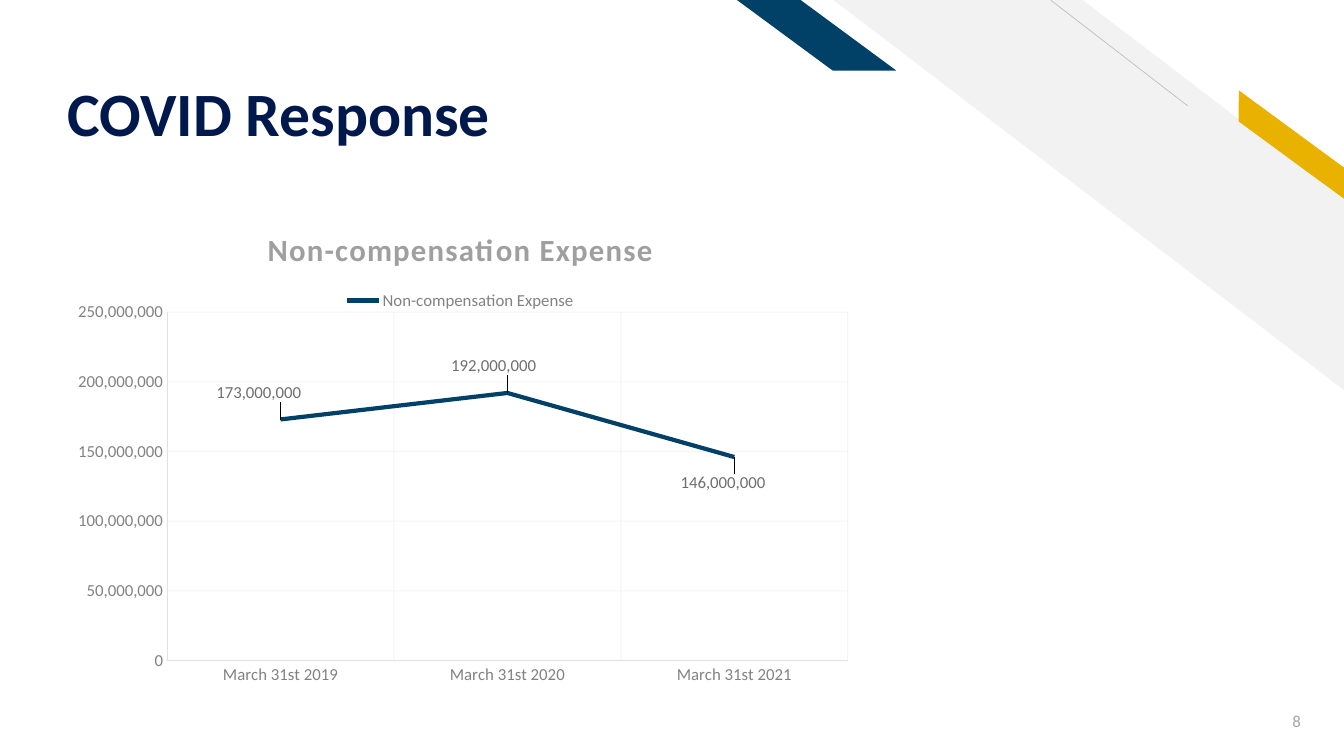
import pptx
import pptx.chart.data
import pptx.dml.color
import pptx.enum.chart
import pptx.enum.shapes
import pptx.enum.text
import pptx.oxml
import pptx.oxml.ns
import pptx.util

THEME = {
    "navy": "00194C", "blue": "014067", "gold": "EAB200", "band": "F2F2F2",
    "hairline": "BFBFBF", "grid": "E2E2E2", "heading": "9F9F9F",
    "axis": "828282", "label": "6F6F6F", "number": "A5A5A5",
    "font": "Calibri", "title_size": 44, "heading_size": 22, "small_size": 12,
}
qn = pptx.oxml.ns.qn
Pt = pptx.util.Pt
SHAPE = pptx.enum.shapes.MSO_SHAPE
ALIGN = pptx.enum.text.PP_ALIGN
ANCHOR = pptx.enum.text.MSO_ANCHOR


def color(name):
    return pptx.dml.color.RGBColor.from_string(THEME[name])


def style(font, size, tint, bold=False):
    font.name = THEME["font"]
    font.size = Pt(THEME[size])
    font.bold = bold
    font.color.rgb = color(tint)


deck = pptx.Presentation()
deck.slide_width = pptx.util.Inches(13.33)
deck.slide_height = pptx.util.Inches(7.5)
slide = deck.slides.add_slide(deck.slide_layouts[5])

# Places as percent of the slide: left, top, width, height
across, down = deck.slide_width / 100, deck.slide_height / 100
PLACES = {
    part: (int(x * across), int(y * down), int(w * across), int(h * down))
    for part, (x, y, w, h) in {
        "band": (62.02, 0, 37.98, 51.6),
        "gold": (90.55, 17.47, 11.1, 3.33),
        "blue": (54.84, 0, 11.85, 9.33),
        "title": (4.28, 3.07, 68.34, 16.8),
        "chart": (4.28, 27.47, 59.94, 65.2),
        "number": (91.45, 92.67, 6.08, 5.33),
    }.items()
}

# Diagonal bands in the corner, all mirrored
for part, preset, slant, turn in (
    ("band", SHAPE.DIAGONAL_STRIPE, 0.512, 0),
    ("gold", SHAPE.PARALLELOGRAM, 0.72, 36.3),
    ("blue", SHAPE.PARALLELOGRAM, 1.356, 0),
):
    stripe = slide.shapes.add_shape(preset, *PLACES[part])
    stripe.adjustments[0] = slant
    stripe.rotation = turn
    stripe.element.spPr.find(qn("a:xfrm")).set("flipH", "1")
    stripe.fill.solid()
    stripe.fill.fore_color.rgb = color(part)
    stripe.line.fill.background()
    stripe.shadow.inherit = False

# Hairline across the grey band
hairline = slide.shapes.add_connector(
    pptx.enum.shapes.MSO_CONNECTOR.STRAIGHT,
    int(88.37 * across), int(14 * down), int(78.17 * across), 0)
hairline.line.color.rgb = color("hairline")
hairline.line.width = Pt(0.5)
hairline.element.spPr.append(pptx.oxml.parse_xml(
    f'<a:effectLst {pptx.oxml.ns.nsdecls("a")}/>'))

# Title
title = slide.shapes.title
title.left, title.top, title.width, title.height = PLACES["title"]
title.text_frame.vertical_anchor = ANCHOR.BOTTOM
title.text_frame.margin_bottom = 0
heading = title.text_frame.paragraphs[0]
heading.alignment = ALIGN.LEFT
heading.line_spacing = 0.9
title_run = heading.add_run()
title_run.text = "COVID Response"
style(title_run.font, "title_size", "navy", True)

# Expense chart
expense_data = pptx.chart.data.CategoryChartData(number_format="#,##0")
expense_data.categories = ["March 31st 2019", "March 31st 2020", "March 31st 2021"]
expense_data.add_series("Non-compensation Expense", (173000000, 192000000, 146000000))
expense_chart = slide.shapes.add_chart(
    pptx.enum.chart.XL_CHART_TYPE.LINE, *PLACES["chart"], expense_data).chart
style(expense_chart.font, "small_size", "axis")

expense_chart.has_title = True
chart_title = expense_chart.chart_title
chart_title.include_in_layout = False
chart_title_run = chart_title.text_frame.paragraphs[0].add_run()
chart_title_run.text = "Non-compensation Expense"
style(chart_title_run.font, "heading_size", "heading", True)
chart_title_run.font._element.set("spc", "100")

expense_chart.has_legend = True
expense_chart.legend.position = pptx.enum.chart.XL_LEGEND_POSITION.TOP
expense_chart.legend.include_in_layout = False
style(expense_chart.legend.font, "small_size", "axis")

# Axes with faint gridlines
for axis in (expense_chart.category_axis, expense_chart.value_axis):
    axis.major_tick_mark = pptx.enum.chart.XL_TICK_MARK.NONE
    axis.minor_tick_mark = pptx.enum.chart.XL_TICK_MARK.NONE
    style(axis.tick_labels.font, "small_size", "axis")
    axis.format.line.color.rgb = color("grid")
    axis.format.line.width = Pt(0.25)
    axis.has_major_gridlines = True
    gridline = axis.major_gridlines.format.line
    gridline.color.rgb = color("grid")
    gridline.width = Pt(0.75)
    for tint in axis.major_gridlines._xAx.find(qn("c:majorGridlines")).iter(qn("a:srgbClr")):
        tint.append(pptx.oxml.parse_xml(
            f'<a:alpha {pptx.oxml.ns.nsdecls("a")} val="32000"/>'))
expense_chart.value_axis.minimum_scale = 0
expense_chart.value_axis.maximum_scale = 250000000
expense_chart.value_axis.major_unit = 50000000
expense_chart.value_axis.tick_labels.number_format = "#,##0"
expense_chart.value_axis.tick_labels.number_format_is_linked = False

# Expense line and its labels
expense = expense_chart.plots[0].series[0]
expense_chart.plots[0].vary_by_categories = False
expense.smooth = False
expense.marker.style = pptx.enum.chart.XL_MARKER_STYLE.NONE
expense.format.line.color.rgb = color("blue")
expense.format.line.width = Pt(3)
label_shifts = ((-0.027, -0.055), (-0.017, -0.055), (-0.014, 0.053))
for index in range(len(label_shifts)):
    label = expense.points[index].data_label
    style(label.font, "small_size", "label")
    label.position = pptx.enum.chart.XL_LABEL_POSITION.CENTER

# Manual places for the labels and the plot area
label_marks = expense._element.find(qn("c:dLbls")).findall(qn("c:dLbl"))
layouts = [(mark.find(qn("c:idx")), "", dict(zip("xy", shift)))
           for mark, shift in zip(label_marks, label_shifts)]
plot_area = expense_chart._chartSpace.chart.plotArea
for old_layout in plot_area.findall(qn("c:layout")):
    plot_area.remove(old_layout)
inner = ('<c:layoutTarget val="inner"/><c:xMode val="edge"/>'
         '<c:yMode val="edge"/>')
layouts.append((None, inner, {"x": 0.136, "y": 0.212, "w": 0.845, "h": 0.707}))
for anchor, modes, shares in layouts:
    values = "".join(f'<c:{key} val="{share}"/>' for key, share in shares.items())
    layout = pptx.oxml.parse_xml(
        f'<c:layout {pptx.oxml.ns.nsdecls("c")}><c:manualLayout>'
        f'{modes}{values}</c:manualLayout></c:layout>')
    if anchor is None:
        plot_area.insert(0, layout)
    else:
        anchor.addnext(layout)

# Slide number
page = slide.shapes.add_textbox(*PLACES["number"]).text_frame
page.word_wrap = True
page.vertical_anchor = ANCHOR.MIDDLE
page.paragraphs[0].alignment = ALIGN.RIGHT
page_run = page.paragraphs[0].add_run()
page_run.text = "8"
style(page_run.font, "small_size", "number")

deck.save("out.pptx")
